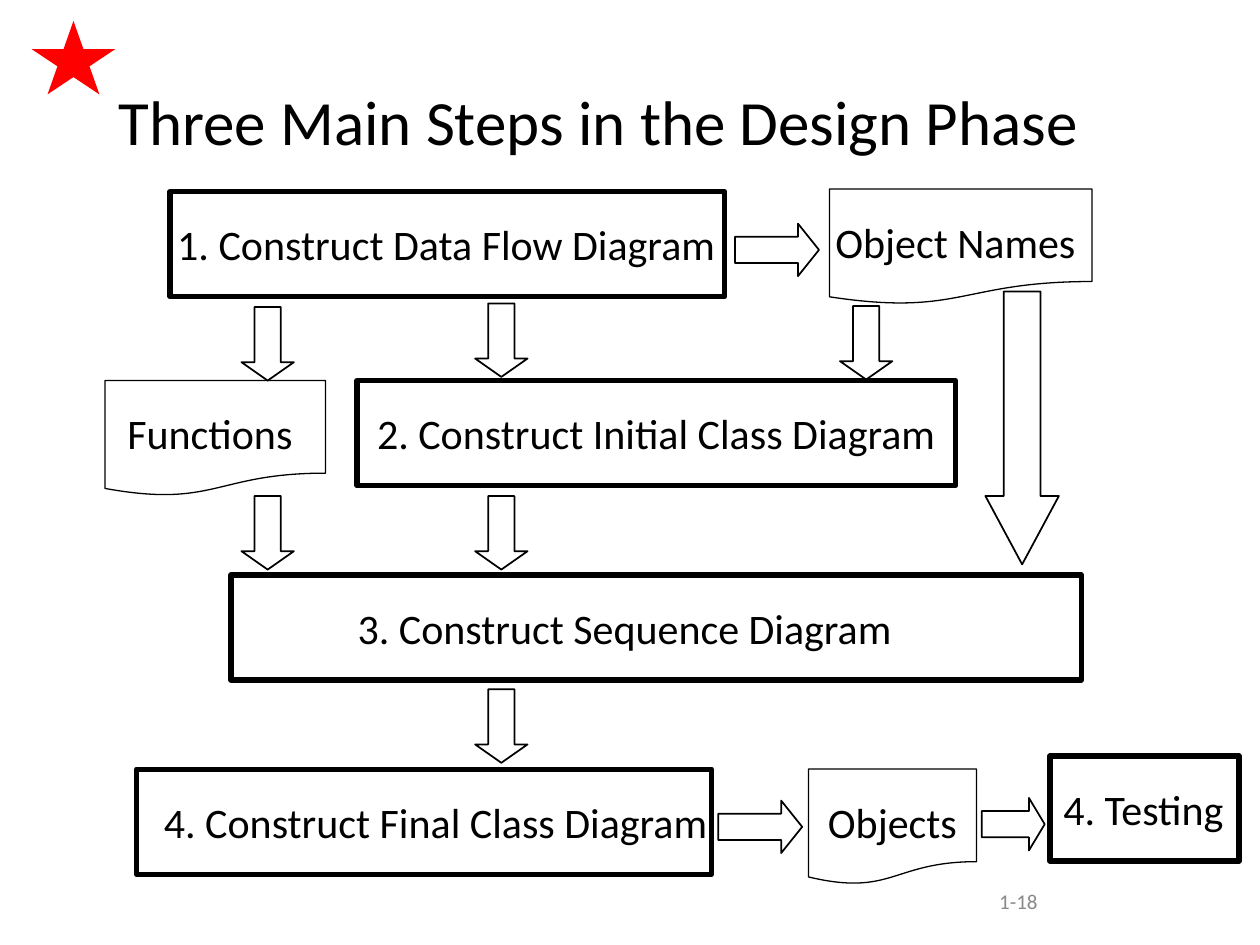
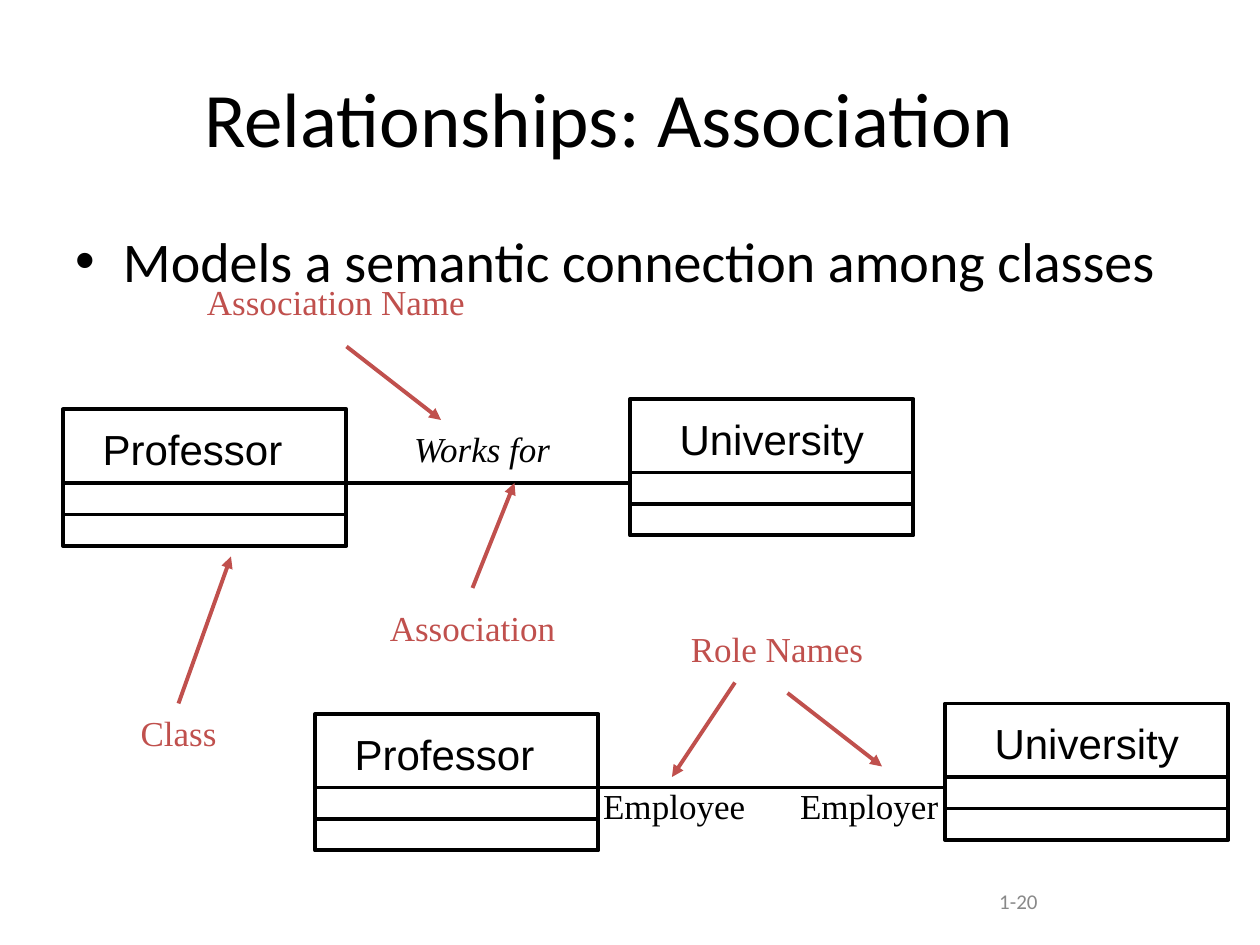
import pptx
import pptx.util
import pptx.dml.color
import pptx.enum.shapes
import pptx.enum.text
import pptx.oxml.ns
from lxml import etree

SHAPE = pptx.enum.shapes.MSO_SHAPE
ALIGN = pptx.enum.text.PP_ALIGN
ANCHOR = pptx.enum.text.MSO_ANCHOR

# The grid: 120 columns by 90 rows on a 10 x 7.5 inch slide
COLUMNS, ROWS = 120, 90
TITLE_ONLY, TITLE_AND_BODY = 5, 1


def color(hex_text):
    return pptx.dml.color.RGBColor.from_string(hex_text)


class Style:
    """Shared look of the deck, plus the slide being filled."""
    black, red, brick, gray = "000000", "FF0000", "C0504D", "898989"
    main_font, class_font, note_font = "Calibri", "Arial", "Times New Roman"
    label_insets, note_insets = (0.1, 0.05), (0.12, 0.06)

    def __init__(self, deck):
        self.deck = deck
        self.slide = None

    def place(self, left, top, width, height):
        x_unit = self.deck.slide_width / COLUMNS
        y_unit = self.deck.slide_height / ROWS
        return [round(length) for length in
                (left * x_unit, top * y_unit, width * x_unit, height * y_unit)]

    def set_words(self, frame, words, size, font, hex_text, align, italic=None):
        frame.text = words
        frame.auto_size = pptx.enum.text.MSO_AUTO_SIZE.NONE
        para = frame.paragraphs[0]
        para.alignment = align
        for span in para.runs:
            span.font.size = pptx.util.Pt(size)
            span.font.name = font
            span.font.italic = italic
            span.font.color.rgb = color(hex_text)

    def start(self, layout, title, title_area, title_size, number):
        self.slide = self.deck.slides.add_slide(self.deck.slide_layouts[layout])
        self.fill_placeholder(0, title, title_area, title_size, ALIGN.CENTER)
        self.slide.shapes.title.text_frame.vertical_anchor = ANCHOR.MIDDLE
        footer = self.text(number, (86, 83.4, 14, 4.8), 12, self.main_font,
                           self.gray, ALIGN.RIGHT)
        footer.text_frame.vertical_anchor = ANCHOR.MIDDLE

    def fill_placeholder(self, index, words, area, size, align):
        holder = self.slide.placeholders[index]
        holder.left, holder.top, holder.width, holder.height = self.place(*area)
        self.set_words(holder.text_frame, words, size, self.main_font, self.black, align)

    def text(self, words, area, size, font, hex_text, align, insets=label_insets,
             wrap=True, italic=None):
        box = self.slide.shapes.add_textbox(*self.place(*area))
        frame = box.text_frame
        self.set_words(frame, words, size, font, hex_text, align, italic)
        frame.word_wrap = wrap
        frame.margin_left = frame.margin_right = pptx.util.Inches(insets[0])
        frame.margin_top = frame.margin_bottom = pptx.util.Inches(insets[1])
        return box

    def outline(self, kind, area, weight, adjustments=()):
        shape = self.slide.shapes.add_shape(kind, *self.place(*area))
        shape.shadow.inherit = False
        shape.fill.background()
        shape.line.color.rgb = color(self.black)
        shape.line.width = pptx.util.Pt(weight)
        for index, value in enumerate(adjustments):
            shape.adjustments[index] = value
        return shape

    def star(self, area):
        shape = self.outline(SHAPE.STAR_5_POINT, area, 1)
        shape.fill.solid()
        shape.fill.fore_color.rgb = color(self.red)
        shape.line.fill.background()

    def flow_node(self, kind, weight, words, area, label_center):
        self.outline(kind, area, weight)
        label_width = 24
        label = (label_center - label_width / 2, area[1] + 2, label_width, 6)
        self.text(words, label, 24, self.main_font, self.black, ALIGN.CENTER, wrap=False)

    def step(self, words, area, label_center):
        self.flow_node(SHAPE.FLOWCHART_PROCESS, 3, words, area, label_center)

    def document(self, words, area, label_center):
        self.flow_node(SHAPE.FLOWCHART_DOCUMENT, 0.75, words, area, label_center)

    def block_arrow(self, kind, area, head):
        self.outline(kind, area, 1, (0.5, head))

    def line(self, start, end, hex_text=black, arrow=False):
        x1, y1, x2, y2 = self.place(*start, *end)
        connector = self.slide.shapes.add_connector(
            pptx.enum.shapes.MSO_CONNECTOR.STRAIGHT, x1, y1, x2, y2)
        connector.line.color.rgb = color(hex_text)
        connector.line.width = pptx.util.Pt(2.25)
        qn = pptx.oxml.ns.qn
        properties = connector._element.spPr
        if arrow:
            etree.SubElement(properties.find(qn("a:ln")), qn("a:tailEnd"), type="triangle")
        etree.SubElement(properties, qn("a:effectLst"))

    def note(self, words, area, hex_text=brick, align=ALIGN.CENTER, italic=None):
        self.text(words, area, 20, self.note_font, hex_text, align,
                  self.note_insets, italic=italic)

    def uml_class(self, name, left, top, align):
        width = 27
        self.outline(SHAPE.RECTANGLE, (left, top, width, 13), 2.25)
        self.text(name, (left + 2.6, top + 0.75, 21.8, 6), 24, self.class_font,
                  self.black, align)
        for divider in (7, 10):
            self.line((left, top + divider), (left + width, top + divider))


def design_steps(style):
    style.start(TITLE_ONLY, "Three Main Steps in the Design Phase",
                (5, 4, 104, 15), 36, "1-18")
    style.star((3, 2, 8, 7))

    # Steps and the documents they produce
    for words, area, label_center in (
            ("1. Construct Data Flow Diagram", (16.2, 18.25, 52.8, 10), 42.5),
            ("2. Construct Initial Class Diagram", (34, 36.25, 57, 10), 62.5),
            ("3. Construct Sequence Diagram", (22, 54.75, 81, 10), 59.5),
            ("4. Construct Final Class Diagram", (13, 73.25, 54.75, 10), 41.5),
            ("4. Testing", (100, 72, 18, 10), 108.9)):
        style.step(words, area, label_center)
    for words, area, label_center in (
            ("Object Names", (79, 18, 25, 11), 91),
            ("Functions", (10, 36.25, 21, 11), 20),
            ("Objects", (77, 73.25, 16, 11), 85)):
        style.document(words, area, label_center)

    # Arrows down, then arrows to the right
    for left, top in ((45.25, 28.9), (45.25, 47.25), (45.25, 65.65),
                      (80, 29.15), (23, 29.25), (23, 47.25)):
        style.block_arrow(SHAPE.DOWN_ARROW, (left, top, 5, 7), 0.35)
    style.block_arrow(SHAPE.DOWN_ARROW, (93.85, 27.75, 7, 26), 0.93)
    for left, top, width, head in ((70, 21.3, 8, 0.4), (68.4, 76.25, 8, 0.4),
                                   (93.5, 76, 6, 0.3)):
        style.block_arrow(SHAPE.RIGHT_ARROW, (left, top, width, 5), head)


def association(style):
    style.start(TITLE_AND_BODY, "Relationships: Association",
                (6, 3.6, 104, 15), 44, "1-20")
    style.fill_placeholder(1, "Models a semantic connection among classes",
                           (6, 21, 108, 59.4), 32, ALIGN.LEFT)

    # Classes and the associations between them
    for left, top in ((6, 39), (30, 68)):
        style.uml_class("Professor", left, top, ALIGN.LEFT)
    for left, top in ((60, 38), (90, 67)):
        style.uml_class("University", left, top, ALIGN.CENTER)
    style.line((32, 46), (60, 46))
    style.line((57, 75), (90, 75))

    # Association name and roles
    for words, left, top, align, italic in (
            ("Works for", 38, 40, ALIGN.LEFT, True),
            ("Employee", 56, 74, ALIGN.LEFT, None),
            ("Employer", 70, 74, ALIGN.RIGHT, None)):
        style.note(words, (left, top, 20.8, 5.4), style.black, align, italic)

    # Explanations with their pointers
    for words, left, top in (("Association Name", 18, 26), ("Association", 31, 57),
                             ("Class", 3, 67), ("Role Names", 60, 59)):
        style.note(words, (left, top, 28, 5.4))
    for start, end in (((33, 33), (42, 40)), ((45, 56), (49, 46)),
                       ((17, 67), (22, 53)), ((75, 66), (84, 73)),
                       ((70, 65), (64, 74))):
        style.line(start, end, style.brick, arrow=True)


def main():
    deck = pptx.Presentation()
    deck.slide_width = pptx.util.Inches(10)
    deck.slide_height = pptx.util.Inches(7.5)
    style = Style(deck)
    design_steps(style)
    association(style)
    deck.save("out.pptx")


if __name__ == "__main__":
    main()
